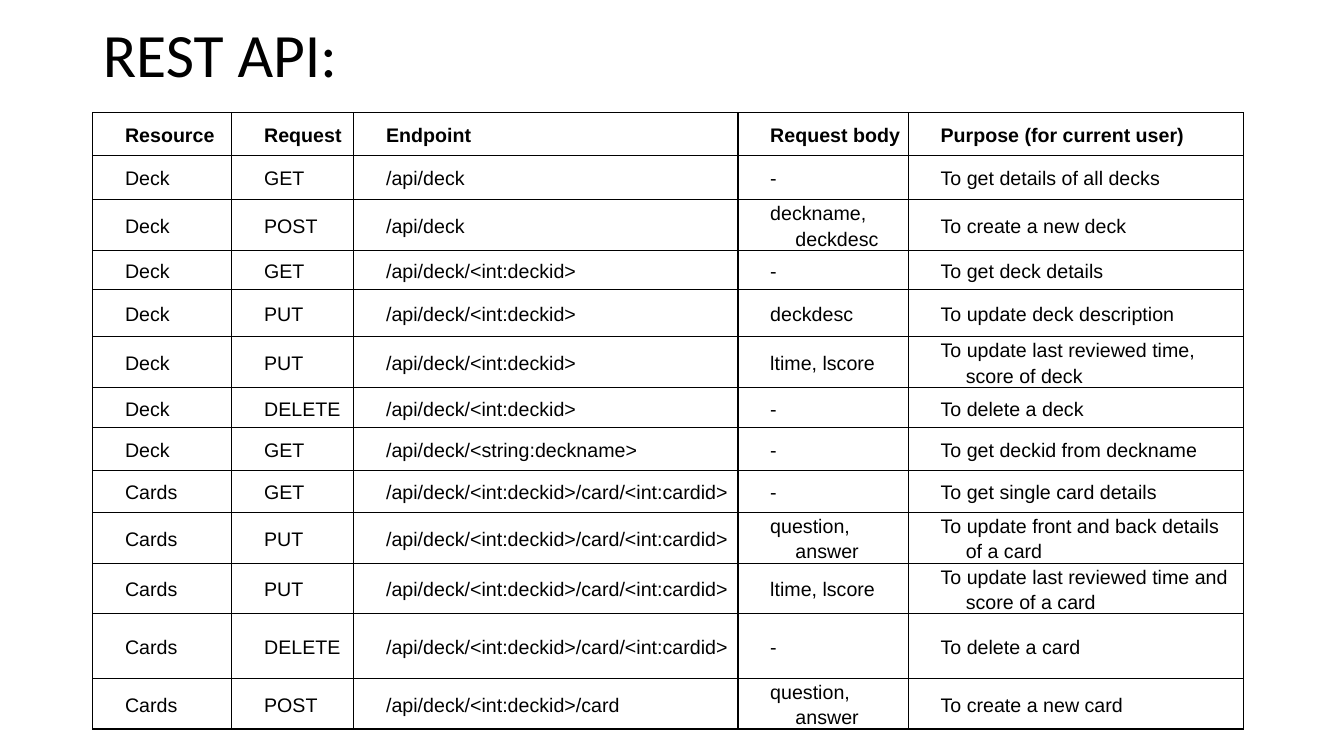
from dataclasses import dataclass
from lxml.etree import SubElement
from pptx import Presentation
from pptx.dml.color import RGBColor as RGB
from pptx.enum.text import MSO_ANCHOR as Anchor, MSO_AUTO_SIZE as AutoSize, PP_ALIGN as Align
from pptx.oxml.ns import qn
from pptx.util import Inches, Pt


@dataclass(frozen=True)
class Theme:
    ink: str = "000000"
    title_font: str = "Calibri"
    body_font: str = "Arial"
    title_size: int = 44
    body_size: int = 14
    border: float = 1


def apply(target, values):
    for name, value in values.items():
        setattr(target, name, value)


class SlideBuilder:
    def __init__(self, deck, theme):
        self.theme = theme
        self.page = deck.slides.add_slide(deck.slide_layouts[5])

    def add_span(self, para, text, font, size, bold=False):
        span = para.add_run()
        span.text = text
        apply(span.font, {"name": font, "size": Pt(size), "bold": bold})
        span.font.color.rgb = RGB.from_string(self.theme.ink)

    def title(self, text, left, top, width, height):
        box = self.page.shapes.title
        apply(box, {"left": Inches(left), "top": Inches(top),
                    "width": Inches(width), "height": Inches(height)})
        apply(box.text_frame, {"word_wrap": True, "auto_size": AutoSize.NONE,
                               "vertical_anchor": Anchor.MIDDLE})
        para = box.text_frame.paragraphs[0]
        apply(para, {"alignment": Align.LEFT, "line_spacing": 0.9})
        self.add_span(para, text, self.theme.title_font, self.theme.title_size)

    def table(self, rows, left, top, widths, heights):
        frame = self.page.shapes.add_table(
            len(rows), len(widths), Inches(left), Inches(top),
            Inches(sum(widths)), Inches(sum(heights)))
        grid = frame.table
        apply(grid, {"first_row": True, "horz_banding": False})
        for column, width in zip(grid.columns, widths):
            column.width = Inches(width)
        for row, height in zip(grid.rows, heights):
            row.height = Inches(height)
        for r, texts in enumerate(rows):
            for c, text in enumerate(texts):
                self.cell(grid.cell(r, c), text, bold=r == 0)

    def cell(self, cell, text, bold):
        apply(cell, {"vertical_anchor": Anchor.MIDDLE,
                     "margin_left": Inches(0.07), "margin_right": Inches(0.07),
                     "margin_top": 0, "margin_bottom": 0})
        self.borders(cell)
        cell.fill.background()
        para = cell.text_frame.paragraphs[0]
        apply(para, {"alignment": Align.LEFT, "line_spacing": 1.15})
        # Hanging indent for wrapped lines
        props = para._p.get_or_add_pPr()
        props.set("marL", str(Inches(0.5)))
        props.set("indent", str(Inches(-0.25)))
        self.add_span(para, text, self.theme.body_font, self.theme.body_size, bold)

    def borders(self, cell):
        props = cell._tc.get_or_add_tcPr()
        for side in ("lnL", "lnR", "lnT", "lnB"):
            line = SubElement(props, qn(f"a:{side}"), w=str(Pt(self.theme.border)))
            fill = SubElement(line, qn("a:solidFill"))
            SubElement(fill, qn("a:srgbClr"), val=self.theme.ink)


# Table content
DECK = "/api/deck"
DECK_ID = f"{DECK}/<int:deckid>"
CARD = f"{DECK_ID}/card"
CARD_ID = f"{CARD}/<int:cardid>"

HEADER = ("Resource", "Request", "Endpoint", "Request body", "Purpose (for current user)")
DECK_CALLS = [
    ("GET", DECK, "-", "To get details of all decks"),
    ("POST", DECK, "deckname, deckdesc", "To create a new deck"),
    ("GET", DECK_ID, "-", "To get deck details"),
    ("PUT", DECK_ID, "deckdesc", "To update deck description"),
    ("PUT", DECK_ID, "ltime, lscore", "To update last reviewed time, score of deck"),
    ("DELETE", DECK_ID, "-", "To delete a deck"),
    ("GET", f"{DECK}/<string:deckname>", "-", "To get deckid from deckname"),
]
CARD_CALLS = [
    ("GET", CARD_ID, "-", "To get single card details"),
    ("PUT", CARD_ID, "question, answer", "To update front and back details of a card"),
    ("PUT", CARD_ID, "ltime, lscore", "To update last reviewed time and score of a card"),
    ("DELETE", CARD_ID, "-", "To delete a card"),
    ("POST", CARD, "question, answer", "To create a new card"),
]
ROWS = ([HEADER] + [("Deck", *call) for call in DECK_CALLS]
        + [("Cards", *call) for call in CARD_CALLS])
WIDTHS = [1.38, 1.21, 3.81, 1.69, 3.32]
# Most rows share one height; the exceptions are keyed by row number
ROW_HEIGHTS = {1: 0.44, 3: 0.39, 4: 0.47, 6: 0.4, 11: 0.64}
HEIGHTS = [ROW_HEIGHTS.get(r, 0.42) for r in range(len(ROWS))]

# Build the slide
deck = Presentation()
apply(deck, {"slide_width": Inches(13.33), "slide_height": Inches(7.5)})
builder = SlideBuilder(deck, Theme())
builder.title("REST API:", 0.92, 0.19, 11.5, 0.76)
builder.table(ROWS, 0.92, 1.12, WIDTHS, HEIGHTS)
deck.save("out.pptx")
